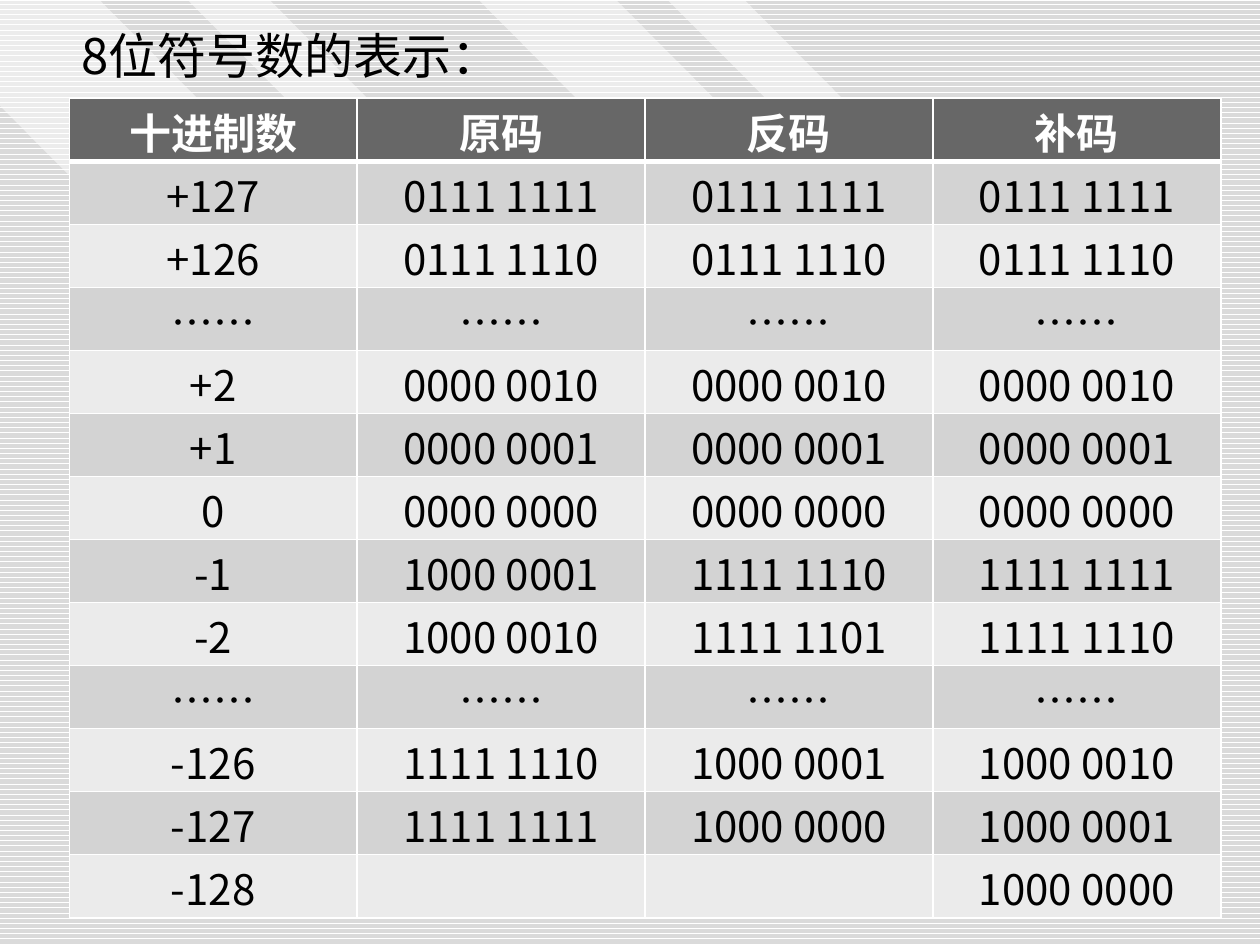
from lxml.etree import SubElement
from pptx import Presentation
from pptx.dml.color import RGBColor
from pptx.enum.dml import MSO_PATTERN
from pptx.enum.text import MSO_ANCHOR, PP_ALIGN
from pptx.oxml.ns import qn
from pptx.util import Pt

FONT = "Noto Sans CJK SC"
WHITE, BLACK = "FFFFFF", "000000"
HEADER_FILL, BANDS = "676767", ("D3D3D3", "EBEBEB")

# Corner points of each diagonal background stripe
STRIPES = [
    [(482.4, 427), (56.9, 0), (0, 0), (0, 60.5), (424.1, 486)],
    [(154.1, 0), (531.4, 379.4), (508.3, 402.5), (107.3, 0)],
    [(352.1, 0), (630.7, 280.1), (591.1, 319.7), (273.6, 0)],
    [(381.6, 0), (645.8, 265), (667.4, 243.4), (425.5, 0)],
]

HEADERS = ["十进制数", "原码", "反码", "补码"]
ELLIPSIS = ["……"] * 4
ROWS = [
    ["+127"] + ["0111 1111"] * 3,
    ["+126"] + ["0111 1110"] * 3,
    ELLIPSIS,
    ["+2"] + ["0000 0010"] * 3,
    ["+1"] + ["0000 0001"] * 3,
    ["0"] + ["0000 0000"] * 3,
    ["-1", "1000 0001", "1111 1110", "1111 1111"],
    ["-2", "1000 0010", "1111 1101", "1111 1110"],
    ELLIPSIS,
    ["-126", "1111 1110", "1000 0001", "1000 0010"],
    ["-127", "1111 1111", "1000 0000", "1000 0001"],
    ["-128", "", "", "1000 0000"],
]


def rgb(color):
    return RGBColor.from_string(color)


def write(tf, text, size=24, color=BLACK, bold=False, align=PP_ALIGN.LEFT, spacing=1.0):
    p = tf.paragraphs[0]
    p.alignment = align
    p.line_spacing = spacing
    r = p.add_run()
    r.text = text
    r.font.name = FONT
    r.font.size = Pt(size)
    r.font.bold = bold
    r.font.color.rgb = rgb(color)
    SubElement(r.font._element, qn("a:ea"), typeface=FONT)


def set_borders(cell, bottom):
    tc_pr = cell._tc.get_or_add_tcPr()
    widths = {"a:lnL": 1, "a:lnR": 1, "a:lnT": 1, "a:lnB": bottom}
    for i, (tag, width) in enumerate(widths.items()):
        ln = SubElement(tc_pr, qn(tag), w=str(Pt(width)))
        fill = SubElement(ln, qn("a:solidFill"))
        SubElement(fill, qn("a:srgbClr"), val=WHITE)
        # Borders come before the fill in the cell properties
        tc_pr.insert(i, ln)


def add_background(s):
    fill = s.background.fill
    fill.patterned()
    fill.pattern = MSO_PATTERN.DARK_HORIZONTAL
    fill.fore_color.rgb = rgb("DADADA")
    fill.back_color.rgb = rgb(WHITE)
    for stripe in STRIPES:
        points = [(Pt(x), Pt(y)) for x, y in stripe]
        builder = s.shapes.build_freeform(*points[0])
        builder.add_line_segments(points[1:], close=True)
        sp = builder.convert_to_shape()
        sp.shadow.inherit = False
        sp.line.fill.background()
        sp.fill.solid()
        sp.fill.fore_color.rgb = rgb(WHITE)
        clr = sp._element.spPr.find(qn("a:solidFill")).find(qn("a:srgbClr"))
        SubElement(clr, qn("a:alpha"), val="50000")


def add_title(s, left, top, width, height):
    tf = s.shapes.add_textbox(Pt(left), Pt(top), Pt(width), Pt(height)).text_frame
    tf.word_wrap = True
    write(tf, "8位符号数的表示：", size=28, spacing=0.9)


def add_code_table(s, left, top, width, height):
    rows = [HEADERS] + ROWS
    table = s.shapes.add_table(len(rows), len(HEADERS), Pt(left), Pt(top),
                               Pt(width), Pt(height)).table
    for column in table.columns:
        column.width = Pt(width / len(HEADERS))
    for i, row in enumerate(rows):
        header = i == 0
        table.rows[i].height = Pt(height / len(rows))
        for j, text in enumerate(row):
            cell = table.cell(i, j)
            cell.margin_top, cell.margin_bottom = Pt(1.2), 0
            cell.vertical_anchor = MSO_ANCHOR.TOP
            cell.fill.solid()
            cell.fill.fore_color.rgb = rgb(HEADER_FILL if header else BANDS[(i - 1) % 2])
            set_borders(cell, bottom=3 if header else 1)
            if text:
                write(cell.text_frame, text, color=WHITE if header else BLACK,
                      bold=header, align=PP_ALIGN.CENTER)


def main():
    prs = Presentation()
    prs.slide_width, prs.slide_height = Pt(720), Pt(540)
    s = prs.slides.add_slide(prs.slide_layouts[6])
    add_background(s)
    add_title(s, 39.6, 15.1, 523.4, 41)
    add_code_table(s, 39.6, 56.2, 658, 468)
    prs.save("out.pptx")


if __name__ == "__main__":
    main()
